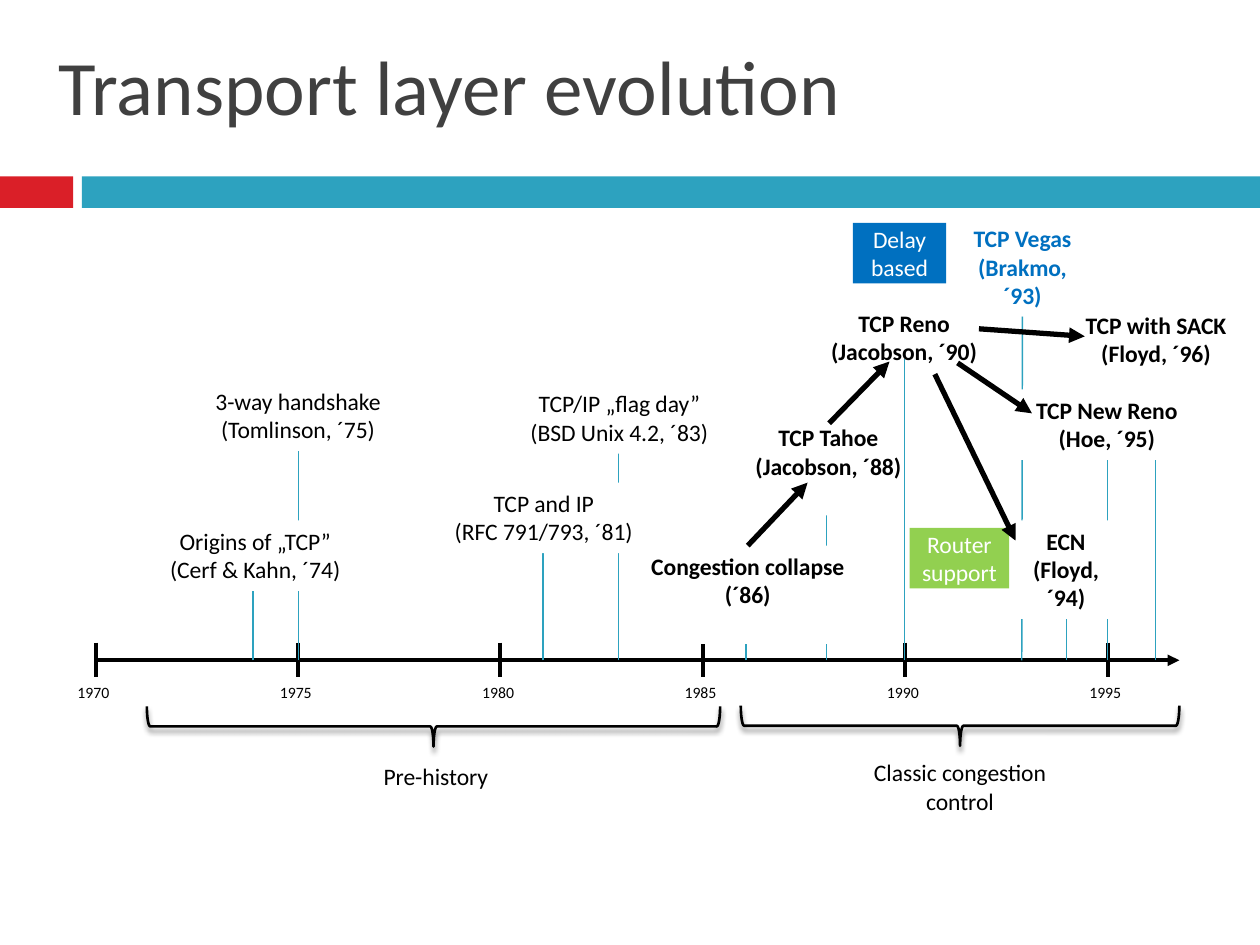
from lxml import etree
from pptx import Presentation
from pptx.dml.color import RGBColor
from pptx.enum.shapes import MSO_CONNECTOR, MSO_SHAPE
from pptx.enum.text import MSO_ANCHOR, MSO_AUTO_SIZE, PP_ALIGN
from pptx.oxml.ns import qn
from pptx.util import Pt

STRAIGHT = MSO_CONNECTOR.STRAIGHT
RECTANGLE = MSO_SHAPE.RECTANGLE
RIGHT_BRACE = MSO_SHAPE.RIGHT_BRACE
MIDDLE = MSO_ANCHOR.MIDDLE
TOP = MSO_ANCHOR.TOP
GROW = MSO_AUTO_SIZE.SHAPE_TO_FIT_TEXT
CENTER = PP_ALIGN.CENTER
LEFT = PP_ALIGN.LEFT
TOP_SIDE, BOTTOM_SIDE = 0, 2

COLORS = {
    "red": "DA1F28",
    "teal": "2DA2BF",
    "title": "404040",
    "black": "000000",
    "white": "FFFFFF",
    "blue": "0070C0",
    "green": "92D050",
}
AXIS_Y = 377.3
AXIS_START = 54.7
FIVE_YEARS = 115.64


class TimelineSlide:
    font_name = "Calibri"
    body_size = 13.5

    def __init__(self, slide):
        self.shapes = slide.shapes

    def color(self, name):
        return RGBColor.from_string(COLORS[name])

    def set_text(self, shape, text, size, color, bold=False, align=CENTER, anchor=TOP):
        frame = shape.text_frame
        frame.word_wrap = True
        frame.vertical_anchor = anchor
        frame.text = text
        for paragraph in frame.paragraphs:
            paragraph.alignment = align
            for run in paragraph.runs:
                run.font.name = self.font_name
                run.font.size = Pt(size)
                run.font.bold = bold
                run.font.color.rgb = self.color(color)
        return frame

    def label(self, text, left, top, width, height, size=body_size,
              color="black", align=CENTER, anchor=TOP):
        box = self.shapes.add_textbox(Pt(left), Pt(top), Pt(width), Pt(height))
        self.set_text(box, text, size, color, align=align, anchor=anchor)

    def bar(self, left, top, width, height, fill):
        bar = self.shapes.add_shape(RECTANGLE, Pt(left), Pt(top), Pt(width), Pt(height))
        bar.shadow.inherit = False
        bar.fill.solid()
        bar.fill.fore_color.rgb = self.color(fill)
        bar.line.fill.background()
        return bar

    def event(self, text, left, top, width=126, height=40.3, color="black", bold=True):
        event = self.bar(left, top, width, height, "white")
        frame = self.set_text(event, text, self.body_size, color, bold)
        frame.auto_size = GROW
        return event

    def tag(self, text, left, top, width, fill):
        tag = self.bar(left, top, width, 34.6, fill)
        frame = self.set_text(tag, text, self.body_size, "white", anchor=MIDDLE)
        frame.margin_left = frame.margin_right = Pt(5)
        frame.margin_top = frame.margin_bottom = Pt(2.9)

    def line(self, start, end, color="black", width=2.25, arrow=False):
        line = self.shapes.add_connector(STRAIGHT, *map(Pt, start + end))
        line.line.color.rgb = self.color(color)
        line.line.width = Pt(width)
        properties = line.element.spPr
        if arrow:
            etree.SubElement(properties.find(qn("a:ln")), qn("a:tailEnd"), type="triangle")
        etree.SubElement(properties, qn("a:effectLst"))
        return line

    def stem(self, x, top):
        return self.line((x, AXIS_Y), (x, top), "teal", 0.79)

    def brace(self, left, top, width, height):
        brace = self.shapes.add_shape(RIGHT_BRACE, Pt(left), Pt(top), Pt(width), Pt(height))
        brace.rotation = 90
        brace.fill.background()
        brace.line.color.rgb = self.color("black")
        brace.line.width = Pt(1.5)
        brace.shadow.inherit = False
        effects = brace.element.spPr.find(qn("a:effectLst"))
        shadow = etree.SubElement(
            effects, qn("a:outerShdw"), blurRad=str(Pt(3)), dist=str(Pt(2.4)),
            dir="5400000", rotWithShape="0")
        shade = etree.SubElement(shadow, qn("a:srgbClr"), val=COLORS["black"])
        etree.SubElement(shade, qn("a:alpha"), val="45000")


def main():
    presentation = Presentation()
    presentation.slide_width = Pt(720)
    presentation.slide_height = Pt(540)
    timeline = TimelineSlide(presentation.slides.add_slide(presentation.slide_layouts[6]))

    timeline.bar(0, 100.8, 41.8, 18, "red")
    timeline.bar(46.8, 100.8, 673.2, 18, "teal")
    timeline.label("Transport layer evolution", 26.6, 10.8, 553.7, 74.9,
                   44, "title", LEFT, MIDDLE)

    timeline.line((AXIS_START, AXIS_Y), (673.9, AXIS_Y), arrow=True)
    for index, year in enumerate(range(1970, 2000, 5)):
        tick_x = AXIS_START + index * FIVE_YEARS
        timeline.line((tick_x, 367.2), (tick_x, 386.6))
        timeline.label(str(year), tick_x - 17.5, 386.6, 36, 18, 9, align=LEFT)

    for x, top in [(144.7, 327.6), (170.6, 257), (310.3, 302.4),
                   (353.5, 257), (426.2, 350.6), (472.3, 257)]:
        timeline.stem(x, top)

    for text, left, top in [
        ("Origins of „TCP”\n(Cerf & Kahn, ´74)", 82.8, 297.4),
        ("3-way handshake\n(Tomlinson, ´75)", 107.3, 217.4),
        ("TCP and IP\n(RFC 791/793, ´81)", 247.7, 275.8),
        ("TCP/IP „flag day”\n(BSD Unix 4.2, ´83)", 290.9, 218.9),
    ]:
        timeline.event(text, left, top, bold=False)

    collapse = timeline.event("Congestion collapse\n(´86)", 364.3, 311.8, height=56.2)
    timeline.event("TCP Tahoe\n(Jacobson, ´88)", 424.1, 238.3, 98.6, 56.2)
    timeline.event("TCP Reno\n(Jacobson, ´90)", 453.6, 172.8)
    timeline.stem(517, 205.2)

    timeline.brace(236.2, 251.3, 23, 327.6)
    timeline.brace(537.1, 289.4, 23, 250.6)
    timeline.label("Pre-history", 187.9, 432, 122.4, 23.8)
    timeline.label("Classic congestion control", 487.4, 429.8, 122.4, 40.3)

    vegas_stem = timeline.stem(583.9, 180.7)
    for x, top in [(609.5, 330.5), (632.9, 259.9), (660.2, 205.2)]:
        timeline.stem(x, top)

    vegas = timeline.event("TCP Vegas\n(Brakmo, ´93)", 540.7, 124.6, 87.1, 56.2, "blue")
    vegas_stem.end_connect(vegas, BOTTOM_SIDE)
    timeline.tag("Delay\nbased", 487.4, 127.4, 53.3, "blue")
    timeline.event("ECN\n(Floyd, ´94)", 571, 297.4, 76.3, 56.2)
    timeline.event("TCP New Reno\n(Hoe, ´95)", 583.2, 222.5, 98.6)
    timeline.event("TCP with SACK\n(Floyd, ´96)", 611.3, 174.2, 98.6, 56.2)

    collapse_to_tahoe = timeline.line((427.3, 311.8), (461.5, 275.8), width=3, arrow=True)
    collapse_to_tahoe.begin_connect(collapse, TOP_SIDE)
    for start, end in [
        ((473.8, 241.9), (508.3, 206.6)),
        ((547.2, 207.4), (589.7, 236.2)),
        ((559.4, 187.9), (619.9, 192.2)),
    ]:
        timeline.line(start, end, width=3, arrow=True)
    timeline.tag("Router\nsupport", 519.8, 301.7, 56.9, "green")
    timeline.line((534.2, 213.8), (580.3, 308.9), width=3, arrow=True)

    presentation.save("out.pptx")


if __name__ == "__main__":
    main()
